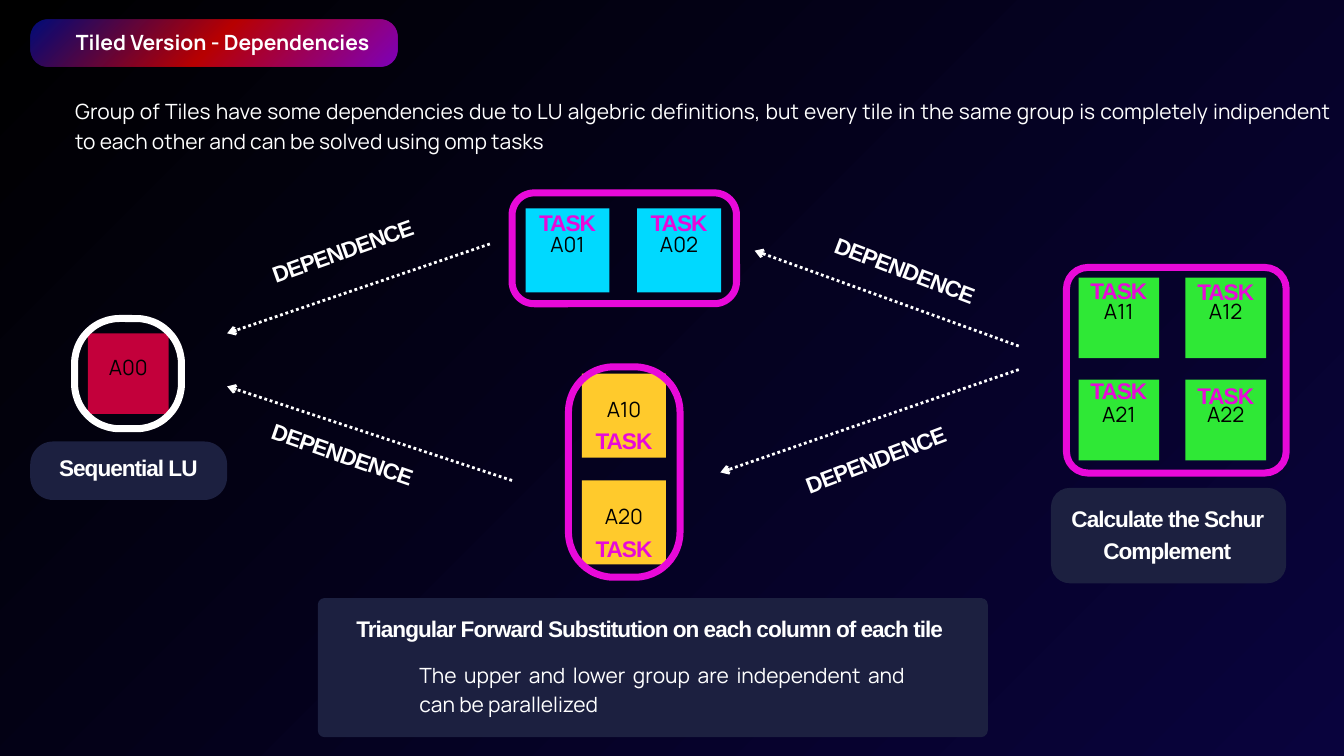
import pptx
import pptx.dml.color
import pptx.enum.dml
import pptx.enum.shapes
import pptx.enum.text
import pptx.oxml
import pptx.oxml.ns
import pptx.util

SCALE = 9144  # EMU in one px, 100 px to the inch
SHAPE = pptx.enum.shapes.MSO_SHAPE
ALIGN = pptx.enum.text.PP_ALIGN
qn = pptx.oxml.ns.qn
NS = pptx.oxml.ns.nsdecls("a")


class Theme:
    white, black, pink = "FFFFFF", "000000", "E809D9"
    red, cyan, gold, green = "C3003B", "00D9FF", "FFCA2C", "2FE836"
    panel = "1C2040"
    night = [(0, "000000", 100), (100, "09033D", 100)]
    badge = [(0, "000F9B", 78), (50, "EB0000", 78), (100, "A000EB", 78)]
    # font, size, line height, tracking
    body = ("Manrope", 22.5, 31.5, 0)
    head = ("Arial", 24.2, 33.9, -110)
    ring, dots = 7.5, 3


def px(*vals):
    return [pptx.util.Emu(round(v * SCALE)) for v in vals]


def rgb(code):
    return pptx.dml.color.RGBColor.from_string(code)


def blend(fill, root, stops):
    """Radial gradient that spreads from the top left corner."""
    fill.gradient()
    grad = next(root.iter(qn("a:gradFill")))
    for child in list(grad):
        grad.remove(child)
    rows = "".join(
        f'<a:gs pos="{pos * 1000}"><a:srgbClr val="{code}">'
        f'<a:alpha val="{alpha * 1000}"/></a:srgbClr></a:gs>'
        for pos, code, alpha in stops)
    grad.append(pptx.oxml.parse_xml(f"<a:gsLst {NS}>{rows}</a:gsLst>"))
    grad.append(pptx.oxml.parse_xml(
        f'<a:path {NS} path="circle">'
        '<a:fillToRect r="100000" b="100000"/></a:path>'))


def style(frame, text, look, color, align, bold):
    font, size, line, track = look
    frame.word_wrap = True
    frame.text = text
    para = frame.paragraphs[0]
    para.alignment = align
    para.line_spacing = pptx.util.Pt(line)
    for run in para.runs:
        run.font.name = font
        run.font.size = pptx.util.Pt(size)
        run.font.bold = bold
        run.font.color.rgb = rgb(color)
        if track:
            run.font._element.set("spc", str(track))


def add_text(slide, box, text, look=Theme.head, color=Theme.white,
             align=ALIGN.CENTER, bold=True, turn=0):
    shape = slide.shapes.add_textbox(*px(*box))
    frame = shape.text_frame
    frame.margin_left = frame.margin_right = 0
    frame.margin_top = frame.margin_bottom = 0
    style(frame, text, look, color, align, bold)
    frame.auto_size = pptx.enum.text.MSO_AUTO_SIZE.SHAPE_TO_FIT_TEXT
    shape.rotation = turn
    return shape


def add_round(slide, box, curve, fill=None, line=None):
    """Rounded box: a filled panel or an outlined ring."""
    shape = slide.shapes.add_shape(SHAPE.ROUNDED_RECTANGLE, *px(*box))
    shape.shadow.inherit = False
    shape.adjustments[0] = min(0.5, curve / min(box[2:]))
    if fill:
        shape.fill.solid()
        shape.fill.fore_color.rgb = rgb(fill)
    else:
        shape.fill.background()
    if line:
        shape.line.color.rgb = rgb(line)
        shape.line.width = pptx.util.Pt(Theme.ring)
    else:
        shape.line.fill.background()
    return shape


def add_tile(slide, name, left, top, side, color):
    shape = slide.shapes.add_shape(SHAPE.RECTANGLE, *px(left, top, side, side))
    shape.shadow.inherit = False
    shape.fill.solid()
    shape.fill.fore_color.rgb = rgb(color)
    shape.line.fill.background()
    frame = shape.text_frame
    frame.vertical_anchor = pptx.enum.text.MSO_ANCHOR.MIDDLE
    frame.margin_left, frame.margin_right = px(6, 6)
    frame.margin_top, frame.margin_bottom = px(6, 31)
    style(frame, name, Theme.body, Theme.black, ALIGN.CENTER, False)


def add_arrow(slide, start, end):
    wire = slide.shapes.add_connector(
        pptx.enum.shapes.MSO_CONNECTOR.STRAIGHT, *px(*start, *end))
    wire.line.color.rgb = rgb(Theme.white)
    wire.line.width = pptx.util.Pt(Theme.dots)
    wire.line.dash_style = pptx.enum.dml.MSO_LINE.ROUND_DOT
    wire.line._get_or_add_ln().append(
        pptx.oxml.parse_xml(f'<a:tailEnd {NS} type="arrow"/>'))
    wire.element.spPr.append(pptx.oxml.parse_xml(f"<a:effectLst {NS}/>"))


def main():
    deck = pptx.Presentation()
    deck.slide_width, deck.slide_height = px(2000, 1125)
    slide = deck.slides.add_slide(deck.slide_layouts[6])
    blend(slide.background.fill, slide.element, Theme.night)

    # Panels behind the captions
    for box, curve in [((45, 657, 293, 87), 34),
                       ((1564, 726, 350, 142), 28),
                       ((473, 890, 997, 207), 10)]:
        add_round(slide, box, curve, fill=Theme.panel)

    # Tiles: name, left, top, side, colour, drop of the task label
    tiles = [
        ("A00", 131, 496, 120, Theme.red, None),
        ("A01", 782, 310, 125, Theme.cyan, -6),
        ("A02", 948, 310, 125, Theme.cyan, -6),
        ("A10", 866, 556, 125, Theme.gold, 73),
        ("A20", 866, 715, 125, Theme.gold, 74),
        ("A11", 1605, 413, 120, Theme.green, -8),
        ("A12", 1764, 413, 120, Theme.green, -6),
        ("A21", 1605, 565, 120, Theme.green, -11),
        ("A22", 1764, 565, 120, Theme.green, -3),
    ]
    for *tile, drop in tiles:
        add_tile(slide, *tile)

    # Rings around each group
    for box, curve, color in [((111, 474, 159, 164), 67, Theme.white),
                              ((762, 287, 334, 165), 33, Theme.pink),
                              ((846, 546, 166, 313), 67, Theme.pink),
                              ((1587, 398, 327, 306), 32, Theme.pink)]:
        add_round(slide, box, curve, line=color)

    # Task labels, centred on their tiles
    for name, left, top, side, color, drop in tiles:
        if drop is not None:
            box = (left + side / 2 - 147, top + drop, 294, 48)
            add_text(slide, box, "TASK", color=Theme.pink)

    # Dependence arrows with their slanted labels
    for start, end, spot, turn in [
            ((729, 363), (338, 496), (362, 346), 340.5),
            ((762, 715), (338, 575), (364, 649), 19.1),
            ((1516, 515), (1123, 373), (1201, 375), 20.8),
            ((1516, 550), (1072, 703), (1155, 657), 339.2)]:
        add_arrow(slide, start, end)
        add_text(slide, (*spot, 294, 48), "DEPENDENCE", turn=turn)

    # Captions
    for box, text in [
            ((44, 669, 294, 48), "Sequential LU"),
            ((442, 909, 1049, 48),
             "Triangular Forward Substitution on each column of each tile"),
            ((1516, 745, 442, 95), "Calculate the Schur Complement")]:
        add_text(slide, box, text)

    # Running text
    for box, text in [
            ((112, 141, 1870, 89),
             "Group of Tiles have some dependencies due to LU algebric "
             "definitions, but every tile in the same group is completely "
             "indipendent to each other and can be solved using omp tasks"),
            ((624, 979, 723, 89),
             "The upper and lower group are independent and can be "
             "parallelized")]:
        add_text(slide, box, text, Theme.body, align=ALIGN.JUSTIFY, bold=False)

    # Title badge
    badge = add_round(slide, (45, 29, 547, 70), 26)
    blend(badge.fill, badge.element, Theme.badge)
    add_text(slide, (69, 38, 481, 45), "Tiled Version - Dependencies",
             Theme.body, align=ALIGN.RIGHT)

    deck.save("out.pptx")


if __name__ == "__main__":
    main()
